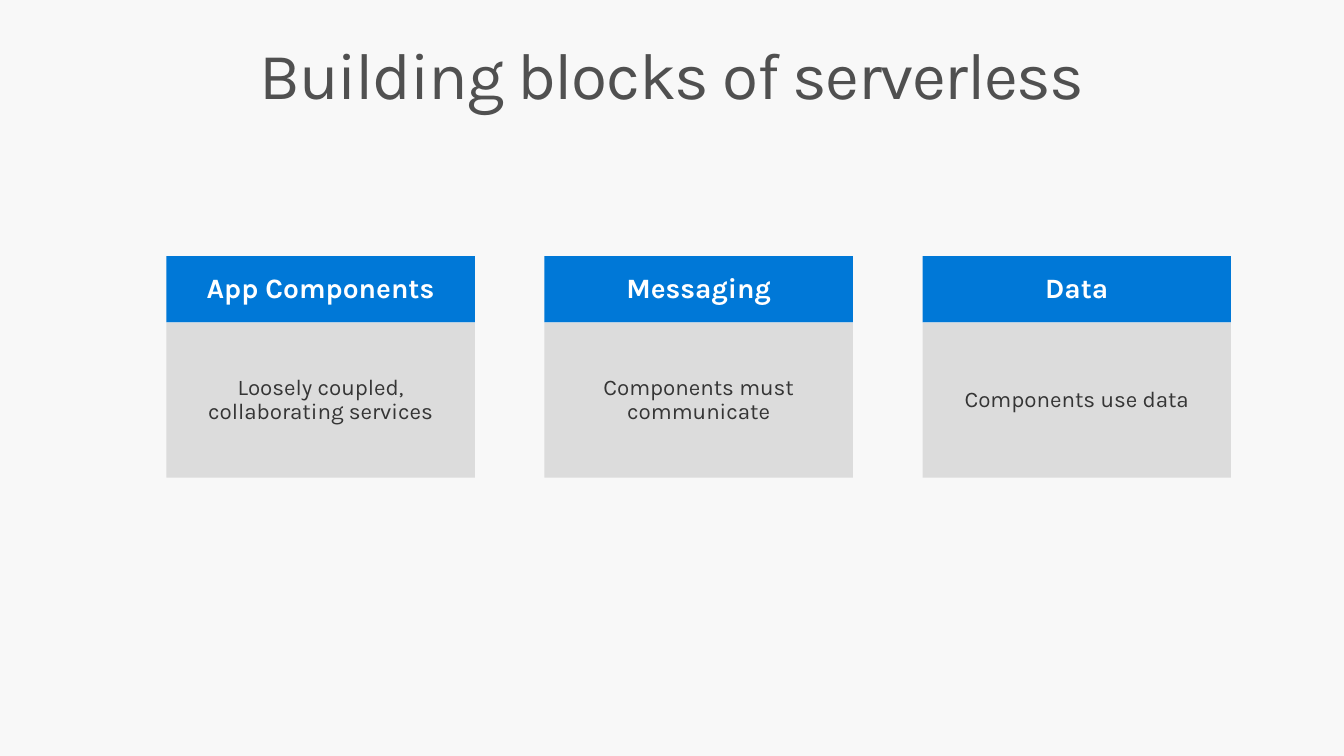
import pptx
import pptx.util
import pptx.dml.color
import pptx.enum.shapes
import pptx.enum.text

Inches = pptx.util.Inches
Pt = pptx.util.Pt
RGBColor = pptx.dml.color.RGBColor
ANCHOR = pptx.enum.text.MSO_ANCHOR

BACKGROUND = RGBColor(0xF8, 0xF8, 0xF8)
TITLE_GREY = RGBColor(0x50, 0x50, 0x50)
HEADER_BLUE = RGBColor(0x00, 0x78, 0xD7)
BODY_GREY = RGBColor(0xDC, 0xDC, 0xDC)
BODY_TEXT = RGBColor(0x35, 0x35, 0x35)
WHITE = RGBColor(0xFF, 0xFF, 0xFF)

BLOCKS = [
    ("App Components", "Loosely coupled, collaborating services"),
    ("Messaging", "Components must communicate"),
    ("Data", "Components use data"),
]
FIRST_LEFT, BLOCK_STEP, BLOCK_WIDTH = 1.65, 3.75, 3.06
HEADER_TOP, HEADER_HEIGHT, BODY_HEIGHT = 2.54, 0.66, 1.54


def write_text(holder, text, *, size, color, bold=False, anchor=ANCHOR.MIDDLE,
               inset_x=0, inset_y=0.16, space_after=0, spacing=None):
    """Put one centred, formatted paragraph into a shape or placeholder."""
    frame = holder.text_frame
    frame.word_wrap = True
    frame.auto_size = pptx.enum.text.MSO_AUTO_SIZE.NONE
    frame.vertical_anchor = anchor
    frame.margin_left = frame.margin_right = Inches(inset_x)
    frame.margin_top = frame.margin_bottom = Inches(inset_y)
    paragraph = frame.paragraphs[0]
    paragraph.alignment = pptx.enum.text.PP_ALIGN.CENTER
    paragraph.line_spacing = 0.9
    paragraph.space_before = Pt(0)
    paragraph.space_after = Pt(space_after)
    run = paragraph.add_run()
    run.text = text
    run.font.name = "Karla"
    run.font.size = Pt(size)
    run.font.bold = bold
    run.font.color.rgb = color
    if spacing is not None:
        run.font._element.set("spc", str(round(spacing * 100)))


def add_title(slide, text):
    """Place and fill the slide's title placeholder."""
    title = slide.shapes.title
    title.left, title.top = Inches(0.29), Inches(0.32)
    title.width, title.height = Inches(12.75), Inches(0.98)
    write_text(title, text, size=47, color=TITLE_GREY, anchor=ANCHOR.TOP,
               inset_x=0.16, inset_y=0.1, spacing=-1)


def add_panel(group, left, top, height, fill):
    """Add a plain filled rectangle of block width to a group."""
    panel = group.shapes.add_shape(
        pptx.enum.shapes.MSO_SHAPE.RECTANGLE,
        Inches(left), Inches(top), Inches(BLOCK_WIDTH), Inches(height))
    panel.shadow.inherit = False
    panel.fill.solid()
    panel.fill.fore_color.rgb = fill
    panel.line.fill.background()
    return panel


def add_block(slide, left, heading, description):
    """Add one building block: a header above its description."""
    block = slide.shapes.add_group_shape()
    header = add_panel(block, left, HEADER_TOP, HEADER_HEIGHT, HEADER_BLUE)
    write_text(header, heading, size=20, color=WHITE, bold=True)
    body = add_panel(block, left, HEADER_TOP + HEADER_HEIGHT, BODY_HEIGHT, BODY_GREY)
    write_text(body, description, size=16, color=BODY_TEXT,
               inset_x=0.2, space_after=6)


def main():
    """Build and save the slide."""
    deck = pptx.Presentation()
    deck.slide_width, deck.slide_height = Inches(13.33), Inches(7.5)
    slide = deck.slides.add_slide(deck.slide_layouts.get_by_name("Title Only"))
    slide.background.fill.solid()
    slide.background.fill.fore_color.rgb = BACKGROUND
    add_title(slide, "Building blocks of serverless")
    for index, (heading, description) in enumerate(BLOCKS):
        add_block(slide, FIRST_LEFT + index * BLOCK_STEP, heading, description)
    deck.save("out.pptx")


if __name__ == "__main__":
    main()
